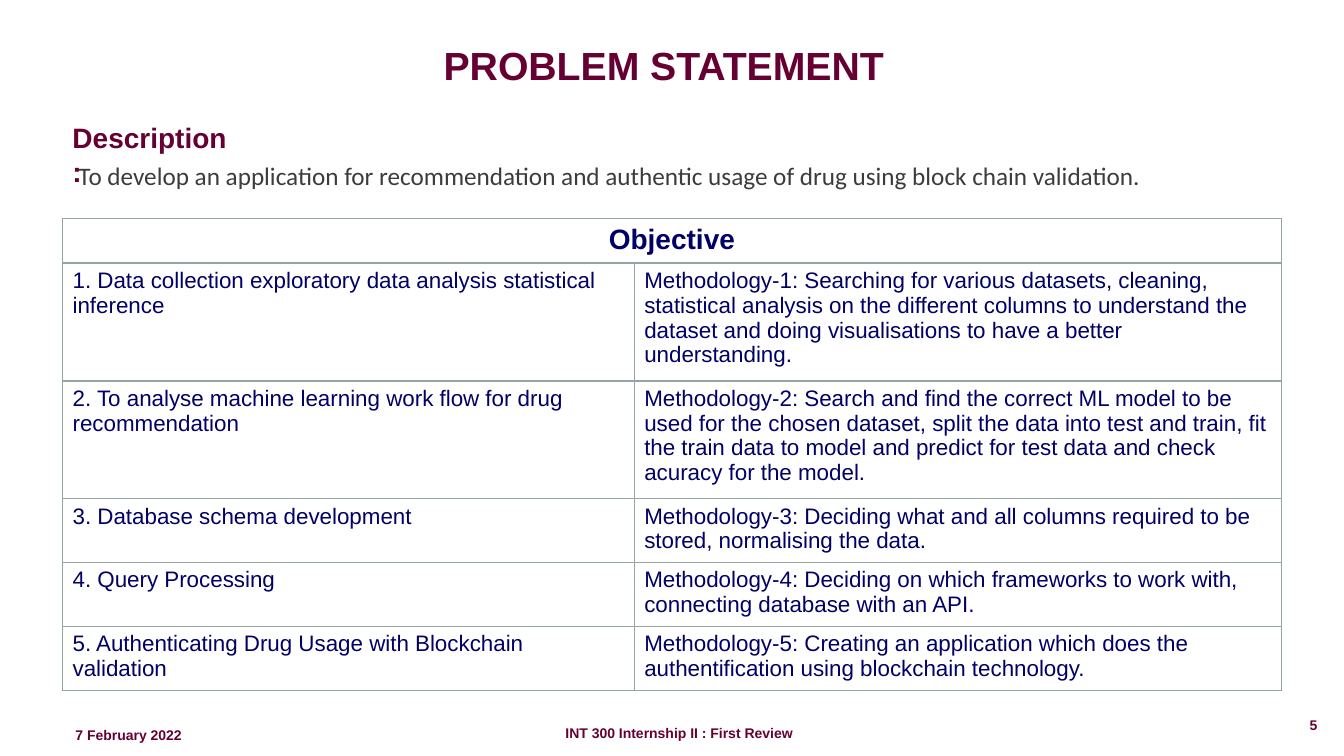
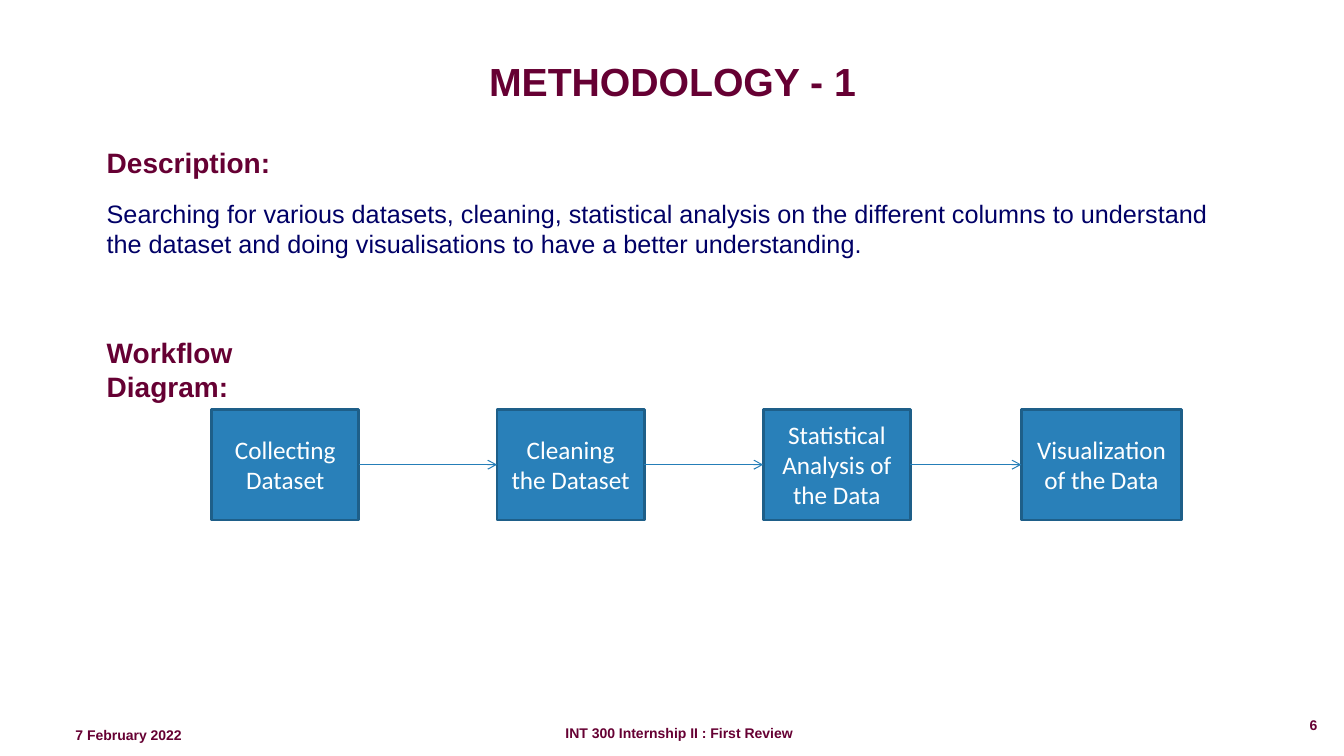
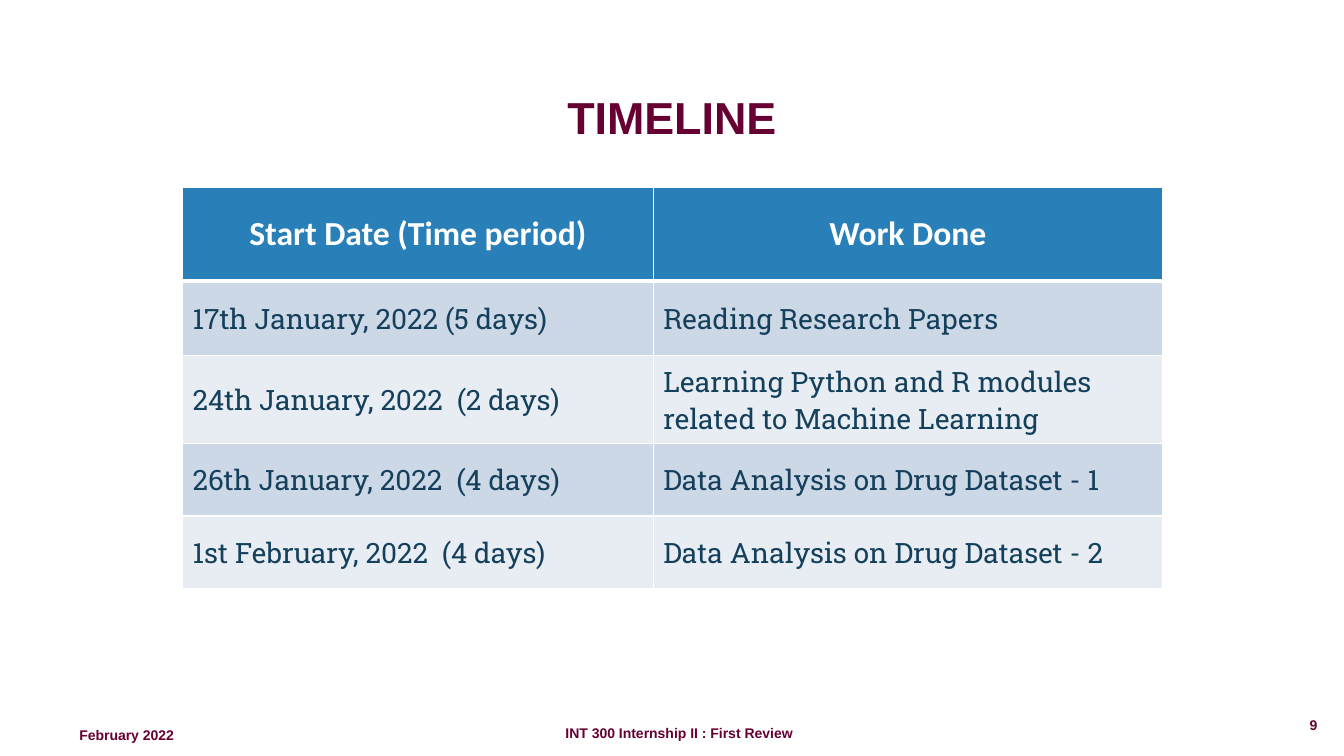
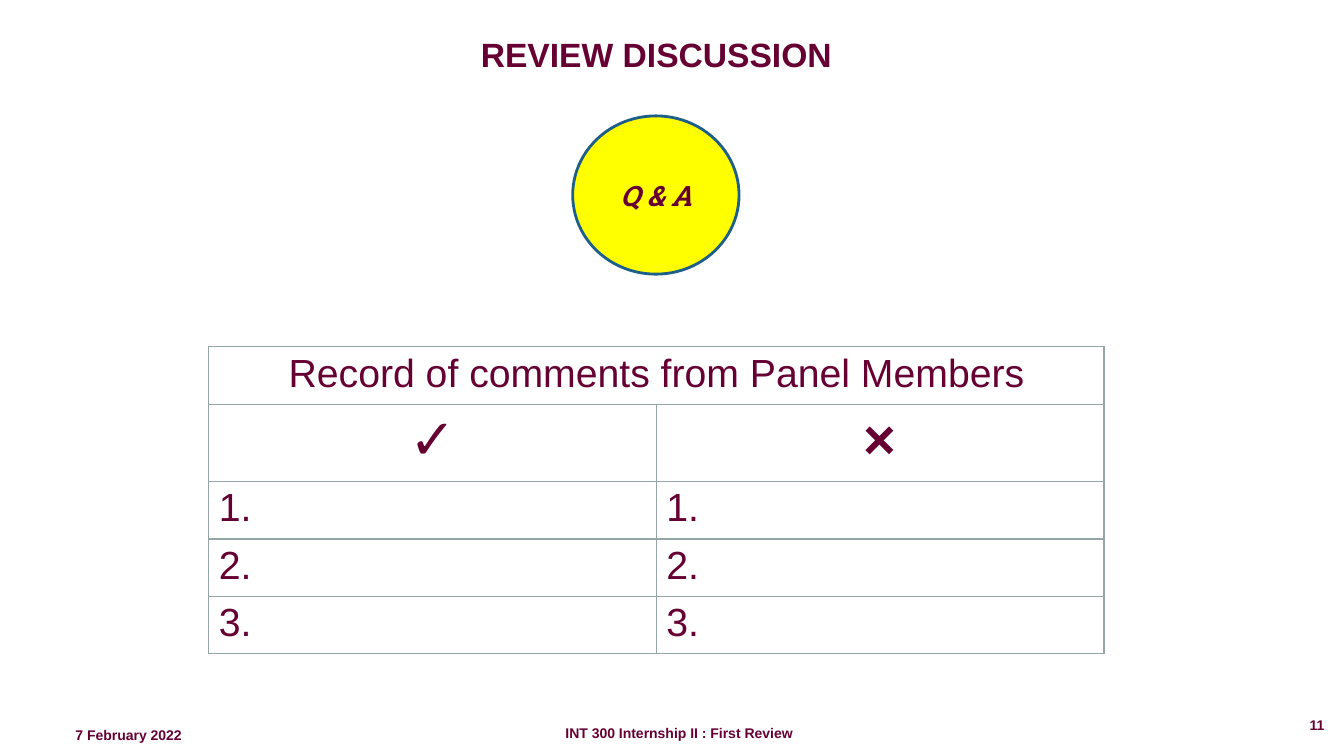
from dataclasses import dataclass

from lxml.etree import SubElement
from pptx import Presentation
from pptx.dml.color import RGBColor
from pptx.enum.shapes import MSO_CONNECTOR, MSO_SHAPE
from pptx.enum.text import MSO_ANCHOR, MSO_AUTO_SIZE, PP_ALIGN
from pptx.oxml.ns import qn
from pptx.util import Inches, Pt

WINE, NAVY, BLUE, EDGE = "660033", "000066", "2980B9", "1E5F89"
WHITE, GREY, INK = "FFFFFF", "95A5A6", "14405C"
BANDS = ("CDD8E6", "E8EDF3")
LEFT, MID = PP_ALIGN.LEFT, PP_ALIGN.CENTER


@dataclass
class Rect:
    x: float
    y: float
    w: float
    h: float

    def span(self) -> tuple:
        return tuple(Inches(v) for v in (self.x, self.y, self.w, self.h))


@dataclass
class Step:
    label: str
    x: float
    w: float = 1.46


def color(code: str) -> RGBColor:
    return RGBColor.from_string(code)


def write(frame, text: str, *, size=20, font="Arial", ink=WINE, bold=False,
          italic=False, align=LEFT, gap=0, more=False):
    """Put formatted text in a frame, or add it as a further paragraph."""
    para = frame.add_paragraph() if more else frame.paragraphs[0]
    para.alignment = align
    para.space_before = Pt(gap)
    run = para.add_run()
    run.text = text
    face = run.font
    face.name, face.size = font, Pt(size)
    face.bold, face.italic = bold, italic
    face.color.rgb = color(ink)


def label(slide, rect: Rect, text: str, wrap=True, **style):
    frame = slide.shapes.add_textbox(*rect.span()).text_frame
    frame.word_wrap = wrap
    write(frame, text, **style)
    return frame


def page(deck, title: str, rect: Rect, number: int, size=28, align=MID,
         date="7 February 2022"):
    """Add a slide with its title and footer."""
    slide = deck.slides.add_slide(deck.slide_layouts[5])
    head = slide.shapes.title
    head.left, head.top, head.width, head.height = rect.span()
    frame = head.text_frame
    frame.auto_size = MSO_AUTO_SIZE.NONE
    frame.word_wrap = False
    frame.vertical_anchor = MSO_ANCHOR.TOP
    write(frame, title, size=size, bold=True, align=align)
    notes = (
        (Rect(0.65, 7.16, 1.56, 0.24), date, True),
        (Rect(5.51, 7.14, 2.48, 0.27), "INT 300 Internship II : First Review", False),
        (Rect(12.89, 7.06, 0.48, 0.43), str(number), True),
    )
    for place, text, wrap in notes:
        label(slide, place, text, wrap, size=10, bold=True)
    return slide


def block(slide, kind, rect: Rect, text: str, fill: str, **style):
    shape = slide.shapes.add_shape(kind, *rect.span())
    shape.shadow.inherit = False
    shape.fill.solid()
    shape.fill.fore_color.rgb = color(fill)
    shape.line.color.rgb = color(EDGE)
    shape.line.width = Pt(2)
    frame = shape.text_frame
    frame.word_wrap = True
    frame.vertical_anchor = MSO_ANCHOR.MIDDLE
    write(frame, text, align=MID, **style)
    return shape


def arrow(slide, start, end):
    """Join the right side of one box to the left side of the next."""
    line = slide.shapes.add_connector(MSO_CONNECTOR.STRAIGHT, 0, 0, 0, 0)
    line.begin_connect(start, 3)
    line.end_connect(end, 1)
    line.line.color.rgb = color("257EB8")
    line.line.width = Pt(0.75)
    SubElement(line.line._get_or_add_ln(), qn("a:tailEnd"), type="arrow")
    SubElement(line._element.spPr, qn("a:effectLst"))


def border(cell, ink: str, base=1):
    props = cell._tc.get_or_add_tcPr()
    for side in ("lnL", "lnR", "lnT", "lnB"):
        width = base if side == "lnB" else 1
        edge = SubElement(props, qn(f"a:{side}"), w=str(Pt(width)))
        fill = SubElement(edge, qn("a:solidFill"))
        SubElement(fill, qn("a:srgbClr"), val=ink)


def grid(slide, x: float, y: float, cols, rows, line: str):
    """Add a plain table with borders and no fill."""
    rect = Rect(x, y, sum(cols), sum(rows))
    table = slide.shapes.add_table(len(rows), len(cols), *rect.span()).table
    table.first_row = table.horz_banding = False
    for col, width in zip(table.columns, cols):
        col.width = Inches(width)
    for row, height in zip(table.rows, rows):
        row.height = Inches(height)
    for cell in table.iter_cells():
        border(cell, line)
        cell.fill.background()
    return table


def fill_row(table, row: int, texts, **style):
    for col, text in enumerate(texts):
        write(table.cell(row, col).text_frame, text, **style)


def banner(table, text: str, **style):
    """Merge the top row and write its heading."""
    table.cell(0, 0).merge(table.cell(0, 1))
    fill_row(table, 0, [text], align=MID, **style)


def problem(deck):
    slide = page(deck, "PROBLEM STATEMENT", Rect(4.3, 0.36, 4.72, 0.57), 5, align=LEFT)
    goals = (
        ("1. Data collection exploratory data analysis statistical inference",
         "Methodology-1: Searching for various datasets, cleaning, statistical analysis on the "
         "different columns to understand the dataset and doing visualisations to have a better "
         "understanding."),
        ("2. To analyse machine learning work flow for drug recommendation",
         "Methodology-2: Search and find the correct ML model to be used for the chosen dataset, "
         "split the data into test and train, fit the train data to model and predict for test "
         "data and check acuracy for the model."),
        ("3. Database schema development",
         "Methodology-3: Deciding what and all columns required to be stored, normalising the data."),
        ("4. Query Processing",
         "Methodology-4: Deciding on which frameworks to work with, connecting database with an API."),
        ("5. Authenticating Drug Usage with Blockchain validation",
         "Methodology-5: Creating an application which does the authentification using "
         "blockchain technology."),
    )
    table = grid(slide, 0.62, 2.17, (5.67, 6.42), (0.44, 1.17, 1.17, 0.63, 0.63, 0.63), GREY)
    banner(table, "Objective", ink=NAVY, bold=True)
    for row, texts in enumerate(goals, 1):
        fill_row(table, row, texts, size=16, ink=NAVY)
    label(slide, Rect(0.62, 1.15, 1.75, 0.44), "Description:", bold=True)
    label(slide, Rect(0.68, 1.54, 11.35, 0.4),
          "To develop an application for recommendation and authentic usage of drug using "
          "block chain validation.", size=18, font="Calibri", ink="3C3C3C")


def method(deck):
    slide = page(deck, "METHODOLOGY - 1", Rect(4.73, 0.52, 3.88, 0.57), 6)
    frame = label(slide, Rect(0.96, 1.39, 11.41, 1.24), "Description:", bold=True)
    write(frame, "Searching for various datasets, cleaning, statistical analysis on the different "
          "columns to understand the dataset and doing visualisations to have a better "
          "understanding.", size=18, ink=NAVY, gap=14, more=True)
    label(slide, Rect(0.96, 3.28, 2.65, 0.44), "Workflow Diagram:", bold=True)

    # Workflow boxes and the arrows between them
    steps = (
        Step("Collecting Dataset", 2.1),
        Step("Cleaning the Dataset", 4.93),
        Step("Statistical Analysis of the Data", 7.57),
        Step("Visualization of the Data", 10.13, 1.59),
    )
    boxes = [block(slide, MSO_SHAPE.RECTANGLE, Rect(step.x, 4.06, step.w, 1.1), step.label,
                   BLUE, size=18, font="Calibri", ink=WHITE) for step in steps]
    for start, end in zip(boxes, boxes[1:]):
        arrow(slide, start, end)


def timeline(deck):
    slide = page(deck, "TIMELINE", Rect(5.05, 0.84, 3.23, 0.64), 9, size=32,
                 date=" February 2022")
    work = (
        ("17th January, 2022 (5 days)", "Reading Research Papers"),
        ("24th January, 2022  (2 days)",
         "Learning Python and R modules related to Machine Learning"),
        ("26th January, 2022  (4 days)", "Data Analysis on Drug Dataset - 1"),
        ("1st February, 2022  (4 days)", "Data Analysis on Drug Dataset - 2"),
    )
    table = grid(slide, 1.81, 1.86, (4.67, 5.05), (0.93, 0.74, 0.87, 0.72, 0.72), WHITE)
    fill_row(table, 0, ("Start Date (Time period)", "Work Done"), size=24, font="Calibri",
             ink=WHITE, bold=True, align=MID)
    for row, texts in enumerate(work, 1):
        fill_row(table, row, texts, font="Roboto Slab", ink=INK)
    for index, cell in enumerate(table.iter_cells()):
        row = index // 2
        cell.vertical_anchor = MSO_ANCHOR.MIDDLE
        cell.fill.solid()
        cell.fill.fore_color.rgb = color(BANDS[(row - 1) % 2] if row else BLUE)

    # Thick rule under the heading row
    for col in range(2):
        for row, side in ((0, "lnB"), (1, "lnT")):
            props = table.cell(row, col)._tc.tcPr
            props.find(qn(f"a:{side}")).set("w", str(Pt(3)))


def review(deck):
    slide = page(deck, "REVIEW DISCUSSION", Rect(4.65, 0.29, 3.72, 0.5), 11, size=24)
    table = grid(slide, 2.07, 3.44, (4.44, 4.44), (0.57, 0.76, 0.57, 0.57, 0.57), GREY)
    banner(table, "Record of comments from Panel Members", size=28)
    fill_row(table, 1, "✓×", size=40, bold=True, align=MID)
    for number in range(1, 4):
        fill_row(table, number + 1, [f"{number}."] * 2, size=28)
    block(slide, MSO_SHAPE.OVAL, Rect(5.68, 1.15, 1.65, 1.57), "Q & A", "FFFF00",
          font="Roboto Slab", bold=True, italic=True)


def main():
    deck = Presentation()
    deck.slide_width, deck.slide_height = Inches(13.33), Inches(7.5)
    for build in (problem, method, timeline, review):
        build(deck)
    deck.save("out.pptx")


if __name__ == "__main__":
    main()
